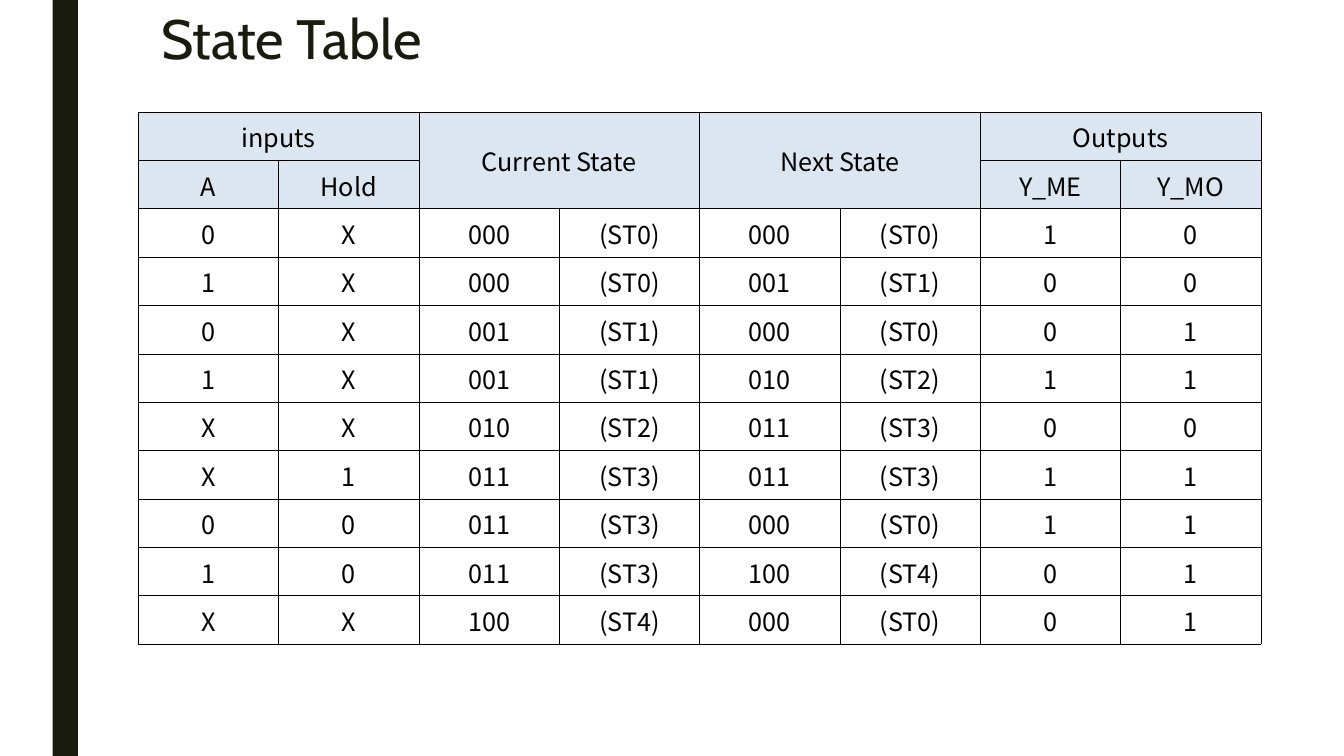
import pptx
import pptx.dml.color
import pptx.enum.shapes
import pptx.enum.text
import pptx.oxml
import pptx.oxml.ns
import pptx.util

Pt = pptx.util.Pt
RGB = pptx.dml.color.RGBColor.from_string
MIDDLE = pptx.enum.text.MSO_ANCHOR.MIDDLE
COLORS = {"dark": "191B0E", "header": "DCE6F1", "black": "000000"}

# text, row, column, rows spanned, columns spanned
HEADERS = [
    ("inputs", 0, 0, 1, 2),
    ("Current State", 0, 2, 2, 2),
    ("Next State", 0, 4, 2, 2),
    ("Outputs", 0, 6, 1, 2),
    ("A", 1, 0, 1, 1),
    ("Hold", 1, 1, 1, 1),
    ("Y_ME", 1, 6, 1, 1),
    ("Y_MO", 1, 7, 1, 1),
]
# A, Hold, current state, next state, Y_ME, Y_MO
TRANSITIONS = [
    ("0", "X", "000", "000", "1", "0"),
    ("1", "X", "000", "001", "0", "0"),
    ("0", "X", "001", "000", "0", "1"),
    ("1", "X", "001", "010", "1", "1"),
    ("X", "X", "010", "011", "0", "0"),
    ("X", "1", "011", "011", "1", "1"),
    ("0", "0", "011", "000", "1", "1"),
    ("1", "0", "011", "100", "0", "1"),
    ("X", "X", "100", "000", "0", "1"),
]
HEADER_ROWS = 2
ROWS = HEADER_ROWS + len(TRANSITIONS)
COLUMNS = 8
COLUMN_WIDTH, ROW_HEIGHT = 100.26, 34.56


def add_text(frame, text, font_name, size, color):
    run = frame.paragraphs[0].add_run()
    run.text = text
    run.font.name = font_name
    run.font.size = Pt(size)
    run.font.color.rgb = RGB(COLORS[color])


def write_cell(cell, text):
    cell.text_frame.paragraphs[0].alignment = pptx.enum.text.PP_ALIGN.CENTER
    add_text(cell.text_frame, text, "Noto Sans CJK KR", 18, "black")


presentation = pptx.Presentation()
presentation.slide_width, presentation.slide_height = Pt(960), Pt(540)
slide = presentation.slides.add_slide(presentation.slide_layouts[5])

side_bar = slide.shapes.add_shape(
    pptx.enum.shapes.MSO_SHAPE.RECTANGLE, Pt(37.6), Pt(0), Pt(18), Pt(540))
side_bar.shadow.inherit = False
side_bar.fill.solid()
side_bar.fill.fore_color.rgb = RGB(COLORS["dark"])
side_bar.line.fill.background()

title = slide.shapes.title
title.left, title.top, title.width, title.height = Pt(108), Pt(6.5), Pt(756), Pt(46)
title.text_frame.vertical_anchor = MIDDLE
title.text_frame.paragraphs[0].alignment = pptx.enum.text.PP_ALIGN.LEFT
title.text_frame.paragraphs[0].line_spacing = 0.89
add_text(title.text_frame, "State Table", "Cabin", 39.6, "dark")

state_table = slide.shapes.add_table(
    ROWS, COLUMNS, Pt(98.8), Pt(80),
    Pt(COLUMN_WIDTH * COLUMNS), Pt(ROW_HEIGHT * ROWS)).table
state_table.first_row = False
state_table.horz_banding = False
for column in state_table.columns:
    column.width = Pt(COLUMN_WIDTH)

for row_index, row in enumerate(state_table.rows):
    row.height = Pt(ROW_HEIGHT)
    for cell in row.cells:
        cell.vertical_anchor = MIDDLE
        cell.margin_left = cell.margin_right = cell.margin_top = Pt(0.75)
        cell.margin_bottom = Pt(0)
        cell_properties = cell._tc.get_or_add_tcPr()
        for side in "LRTB":
            cell_properties.append(pptx.oxml.parse_xml(
                f'<a:ln{side} {pptx.oxml.ns.nsdecls("a")} w="{Pt(0.5)}"><a:solidFill>'
                f'<a:srgbClr val="{COLORS["black"]}"/></a:solidFill></a:ln{side}>'))
        if row_index < HEADER_ROWS:
            cell.fill.solid()
            cell.fill.fore_color.rgb = RGB(COLORS["header"])
        else:
            cell.fill.background()

for text, row, column, row_span, column_span in HEADERS:
    header = state_table.cell(row, column)
    if row_span * column_span > 1:
        header.merge(state_table.cell(row + row_span - 1, column + column_span - 1))
    write_cell(header, text)

for row, (a, hold, current, following, y_me, y_mo) in enumerate(TRANSITIONS, HEADER_ROWS):
    current_name, following_name = (f"(ST{int(code, 2)})" for code in (current, following))
    values = (a, hold, current, current_name, following, following_name, y_me, y_mo)
    for column, value in enumerate(values):
        write_cell(state_table.cell(row, column), value)

presentation.save("out.pptx")
